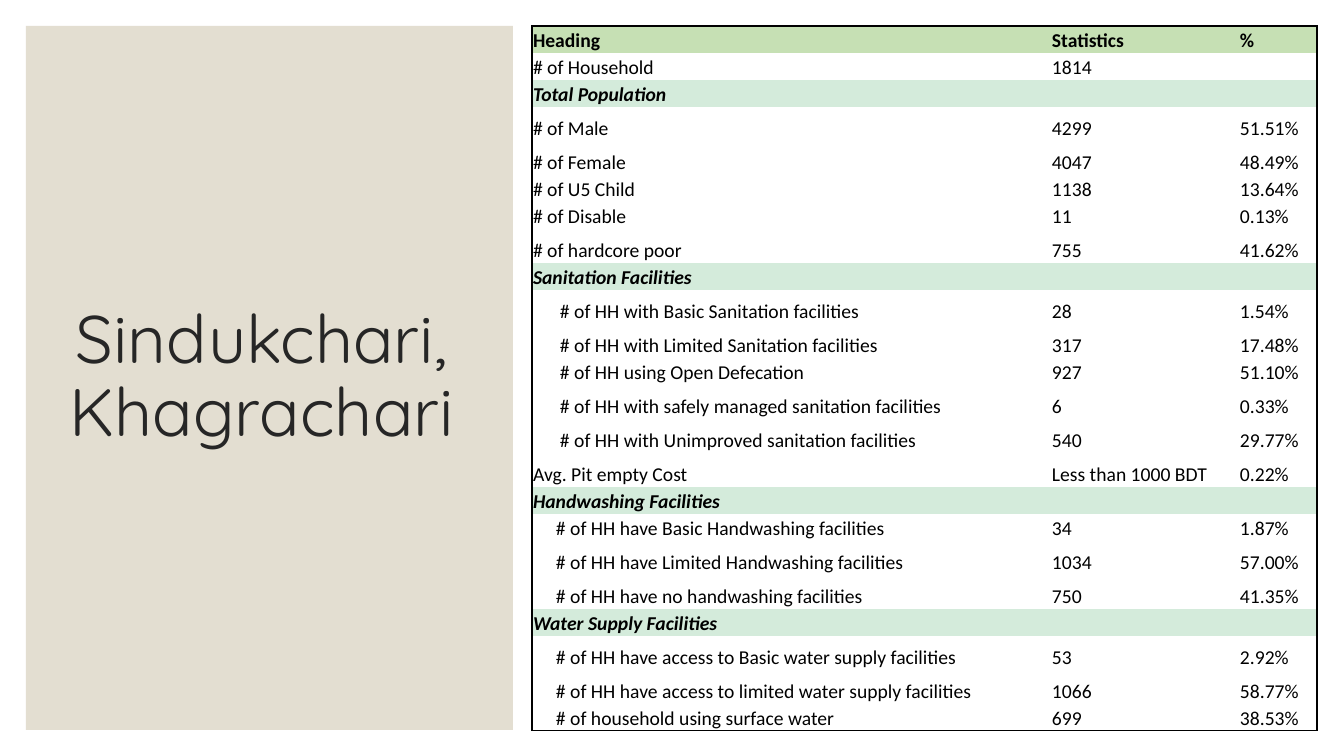
from lxml import etree
from pptx import Presentation
from pptx.dml.color import RGBColor
from pptx.enum.shapes import MSO_SHAPE
from pptx.enum.text import MSO_ANCHOR, MSO_AUTO_SIZE, PP_ALIGN
from pptx.oxml.ns import qn
from pptx.util import Emu, Pt

RECTANGLE = MSO_SHAPE.RECTANGLE
MIDDLE, BOTTOM = MSO_ANCHOR.MIDDLE, MSO_ANCHOR.BOTTOM
CENTER = PP_ALIGN.CENTER
NO_AUTOFIT = MSO_AUTO_SIZE.NONE

WHITE = RGBColor(0xFF, 0xFF, 0xFF)
BLACK = RGBColor(0x00, 0x00, 0x00)
CHARCOAL = RGBColor(0x26, 0x26, 0x26)
SAND = RGBColor(0xE3, 0xDE, 0xD1)
GREEN = RGBColor(0xC6, 0xE0, 0xB4)
MINT = RGBColor(0xD4, 0xEB, 0xDB)

EMU_PER_PX = 914400 / 100.8
SLIDE_SIZE = (1344, 756)
PLAIN_STYLE = "{2D5ABB26-0587-4C30-8999-92F81FD0307C}"
COLUMN_WIDTHS = (519, 188, 78)
SHORT, TALL = 27, 34
NO_INDENT, SANITATION_INDENT, WATER_INDENT = 0, 27, 23

# Row height, label indent, then the cells; a row with one cell is a section
ROWS = [
    (SHORT, NO_INDENT, "Heading", "Statistics", "%"),
    (SHORT, NO_INDENT, "# of Household", "1814", ""),
    (SHORT, NO_INDENT, "Total Population"),
    (TALL, NO_INDENT, "# of Male", "4299", "51.51%"),
    (TALL, NO_INDENT, "# of Female", "4047", "48.49%"),
    (SHORT, NO_INDENT, "# of U5 Child", "1138", "13.64%"),
    (SHORT, NO_INDENT, "# of Disable", "11", "0.13%"),
    (TALL, NO_INDENT, "# of hardcore poor", "755", "41.62%"),
    (SHORT, NO_INDENT, "Sanitation Facilities"),
    (TALL, SANITATION_INDENT, "# of HH with Basic Sanitation facilities", "28", "1.54%"),
    (TALL, SANITATION_INDENT, "# of HH with Limited Sanitation facilities", "317", "17.48%"),
    (SHORT, SANITATION_INDENT, "# of HH using Open Defecation", "927", "51.10%"),
    (TALL, SANITATION_INDENT, "# of HH with safely managed sanitation facilities", "6", "0.33%"),
    (TALL, SANITATION_INDENT, "# of HH with Unimproved sanitation facilities", "540", "29.77%"),
    (TALL, NO_INDENT, "Avg. Pit empty Cost", "Less than 1000 BDT", "0.22%"),
    (SHORT, NO_INDENT, "Handwashing Facilities"),
    (SHORT, WATER_INDENT, "# of HH have Basic Handwashing facilities", "34", "1.87%"),
    (TALL, WATER_INDENT, "# of HH have Limited Handwashing facilities", "1034", "57.00%"),
    (TALL, WATER_INDENT, "# of HH have no handwashing facilities", "750", "41.35%"),
    (SHORT, NO_INDENT, "Water Supply Facilities"),
    (TALL, WATER_INDENT, "# of HH have access to Basic water supply facilities", "53", "2.92%"),
    (TALL, WATER_INDENT, "# of HH have access to limited water supply facilities", "1066", "58.77%"),
    (SHORT, WATER_INDENT, "# of household using surface water", "699", "38.53%"),
]


def px(length):
    return Emu(round(length * EMU_PER_PX))


class SlideBuilder:
    title_font, title_size = "Quicksand", Pt(48)
    table_font, table_size = "Calibri", Pt(14)

    def __init__(self, page):
        self.page = page

    def panel(self, left, top, width, height, color):
        box = self.page.shapes.add_shape(RECTANGLE, px(left), px(top), px(width), px(height))
        box.shadow.inherit = False
        box.fill.solid()
        box.fill.fore_color.rgb = color
        box.line.fill.background()
        return box

    def span(self, para, text, font, size, color, bold=False, italic=False):
        span = para.add_run()
        span.text = text
        span.font.name, span.font.size = font, size
        span.font.bold, span.font.italic = bold, italic
        span.font.color.rgb = color

    def title(self, left, top, width, height, text, behind):
        box = self.page.shapes.title
        box.left, box.top, box.width, box.height = px(left), px(top), px(width), px(height)
        frame = box.text_frame
        frame.word_wrap = True
        frame.auto_size = NO_AUTOFIT
        frame.vertical_anchor = MIDDLE
        para = frame.paragraphs[0]
        para.alignment = CENTER
        para.line_spacing = 0.9
        self.span(para, text, self.title_font, self.title_size, CHARCOAL)
        behind.element.addnext(box.element)  # bring the title in front of its panel

    def border(self, cell, side):
        properties = cell._tc.get_or_add_tcPr()
        line = etree.SubElement(properties, qn(f"a:ln{side}"), w=str(Pt(1)))
        fill = etree.SubElement(line, qn("a:solidFill"))
        etree.SubElement(fill, qn("a:srgbClr"), val=str(BLACK))

    def cell(self, cell, text, indent, color, sides, bold, italic):
        cell.margin_left, cell.margin_right = px(1 + indent), px(1)
        cell.margin_top, cell.margin_bottom = px(1), 0
        cell.vertical_anchor = BOTTOM
        for side in sides:
            self.border(cell, side)
        if color is None:
            cell.fill.background()
        else:
            cell.fill.solid()
            cell.fill.fore_color.rgb = color
        para = cell.text_frame.paragraphs[0]
        if text:
            self.span(para, text, self.table_font, self.table_size, BLACK, bold, italic)
        else:  # keep an empty cell as low as a filled one
            size = str(int(self.table_size.pt * 100))
            etree.SubElement(para._p, qn("a:endParaRPr"), sz=size)

    def table(self, left, top, widths, rows):
        height = sum(row[0] for row in rows)
        frame = self.page.shapes.add_table(
            len(rows), len(widths), px(left), px(top), px(sum(widths)), px(height))
        table = frame.table
        table.first_row = table.horz_banding = False
        table._tbl.tblPr.find(qn("a:tableStyleId")).text = PLAIN_STYLE
        last_row, last_column = len(rows) - 1, len(widths) - 1
        for column, width in zip(table.columns, widths):
            column.width = px(width)

        for r, (row_height, indent, *texts) in enumerate(rows):
            table.rows[r].height = px(row_height)
            heading, section = r == 0, len(texts) == 1
            color = GREEN if heading else MINT if section else None
            if section:
                table.cell(r, 0).merge(table.cell(r, last_column))
                texts += [""] * last_column
            for c, text in enumerate(texts):
                # Only the outer edge of the table is ruled
                edges = (("L", c == 0), ("R", c == last_column or section and c == 0),
                         ("T", heading), ("B", r == last_row))
                sides = [side for side, ruled in edges if ruled]
                self.cell(table.cell(r, c), text, indent if c == 0 else 0,
                          color, sides, heading or section, section)


def main():
    deck = Presentation()
    deck.slide_width, deck.slide_height = (px(length) for length in SLIDE_SIZE)
    page = deck.slides.add_slide(deck.slide_layouts[5])
    builder = SlideBuilder(page)

    # Backdrop and title panel
    builder.panel(0, 0, *SLIDE_SIZE, WHITE)
    panel = builder.panel(26, 26, 487, 704, SAND)
    builder.title(45, 61, 433, 634, "Sindukchari, Khagrachari", panel)

    # Statistics table
    builder.table(532, 26, COLUMN_WIDTHS, ROWS)

    deck.save("out.pptx")


if __name__ == "__main__":
    main()
